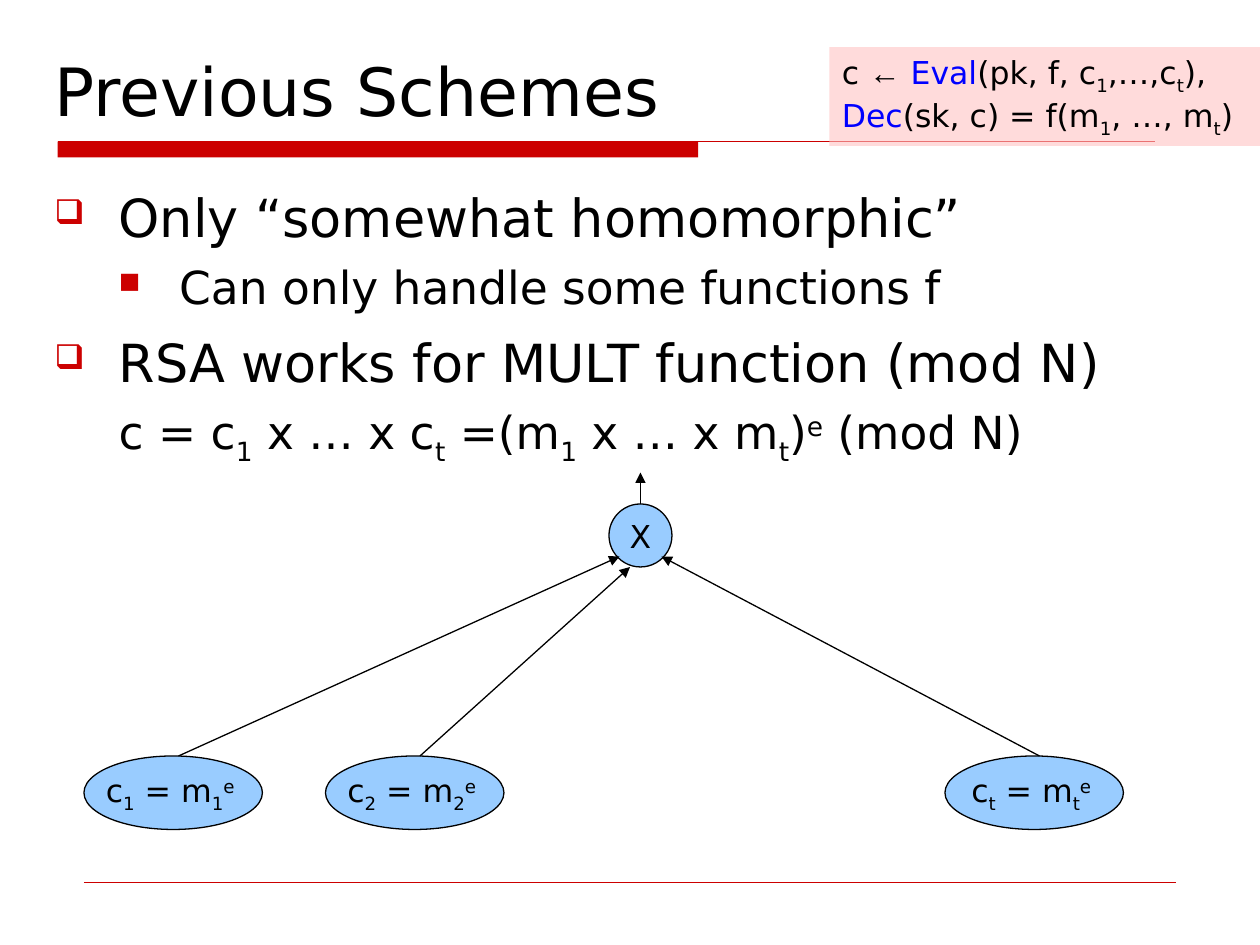
"""Build the slide on previous homomorphic schemes."""
import itertools

import lxml.etree
import pptx
import pptx.dml.color
import pptx.enum.shapes
import pptx.enum.text
import pptx.oxml.ns
import pptx.util

COLORS = {"text": "000000", "accent": "CC0000", "keyword": "0000FF",
          "node": "99CCFF", "note": "FFC2C2"}
FONT = "DejaVu Sans"
BASELINES = {"_": "-25000", "^": "30000"}
SHAPES = pptx.enum.shapes.MSO_SHAPE
ANCHORS = pptx.enum.text.MSO_ANCHOR
ALIGNS = pptx.enum.text.PP_ALIGN


def grid(*cells):
    """Turn counts of grid cells, twelve to the inch, into lengths."""
    return [pptx.util.Inches(cell / 12) for cell in cells]


def color(name):
    """Look up a named colour."""
    return pptx.dml.color.RGBColor.from_string(COLORS[name])


def add_xml(parent, tag, **attributes):
    """Append a DrawingML element with its attributes."""
    return lxml.etree.SubElement(parent, pptx.oxml.ns.qn(tag), attributes)


def styled_characters(text):
    """Yield characters with style; _ lowers and ^ raises the next, * toggles keywords."""
    mark, keyword = None, False
    for char in text:
        if char in BASELINES:
            mark = char
        elif char == "*":
            keyword = not keyword
        else:
            yield char, (mark, keyword, "Arial" if char == "←" else FONT)
            mark = None


def write(paragraph, text, size, align=ALIGNS.LEFT, before=0):
    """Write marked-up text into a paragraph."""
    paragraph.alignment = align
    paragraph.space_before = pptx.util.Pt(before)
    for style, group in itertools.groupby(styled_characters(text), lambda pair: pair[1]):
        mark, keyword, font_name = style
        run = paragraph.add_run()
        run.text = "".join(char for char, _ in group)
        run.font.size = pptx.util.Pt(size)
        run.font.name = font_name
        run.font.color.rgb = color("keyword" if keyword else "text")
        if mark:
            run.font._element.set("baseline", BASELINES[mark])


def add_filled(slide, preset, cells, fill, outlined=False):
    """Add a flat filled shape."""
    shape = slide.shapes.add_shape(preset, *grid(*cells))
    shape.shadow.inherit = False
    shape.fill.solid()
    shape.fill.fore_color.rgb = color(fill)
    if outlined:
        shape.line.color.rgb = color("text")
        shape.line.width = pptx.util.Pt(0.75)
    else:
        shape.line.fill.background()
    return shape


def add_line(slide, cells, line_color, width=0.75, arrow=False):
    """Add a straight line, with an arrowhead at its end if asked."""
    line = slide.shapes.add_connector(
        pptx.enum.shapes.MSO_CONNECTOR.STRAIGHT, *grid(*cells))
    line.line.color.rgb = color(line_color)
    line.line.width = pptx.util.Pt(width)
    if arrow:
        add_xml(line.line._get_or_add_ln(), "a:tailEnd", type="triangle")
    add_xml(line._element.spPr, "a:effectLst")
    return line


def add_node(slide, cells, text):
    """Add an ellipse of the circuit with its label."""
    node = add_filled(slide, SHAPES.OVAL, cells, "node", outlined=True)
    node.text_frame.word_wrap = False
    node.text_frame.vertical_anchor = ANCHORS.MIDDLE
    write(node.text_frame.paragraphs[0], text, 18, align=ALIGNS.CENTER)
    return node


def add_title(slide, text):
    """Place the title above its red rule."""
    add_filled(slide, SHAPES.RECTANGLE, (5.5, 13.5, 61, 1.5), "accent")
    add_line(slide, (5.5, 13.5, 110, 13.5), "accent")
    title = slide.shapes.title
    title.left, title.top, title.width, title.height = grid(4, 1, 112, 12)
    title.text_frame.auto_size = pptx.enum.text.MSO_AUTO_SIZE.NONE
    title.text_frame.vertical_anchor = ANCHORS.BOTTOM
    write(title.text_frame.paragraphs[0], text, 38)


def add_points(slide, points):
    """Add the outline from (level, bullet, text) entries."""
    levels = [(0.51, 0.51, 30, 9.4), (0.99, 0.48, 26, 6.5)]
    frame = slide.shapes.add_textbox(*grid(4, 17, 112, 66)).text_frame
    frame.word_wrap = True
    for index, (level, bullet, text) in enumerate(points):
        paragraph = frame.add_paragraph() if index else frame.paragraphs[0]
        margin, hanging, size, before = levels[level]
        paragraph.level = level
        properties = paragraph._p.get_or_add_pPr()
        properties.set("marL", str(pptx.util.Inches(margin)))
        properties.set("indent", str(-pptx.util.Inches(hanging)))
        if bullet:
            bullet_color = add_xml(properties, "a:buClr")
            add_xml(bullet_color, "a:srgbClr", val=COLORS["accent"])
            add_xml(properties, "a:buSzPct", val="65000")
            add_xml(properties, "a:buChar", char=bullet)
        else:
            add_xml(properties, "a:buNone")
        write(paragraph, text, size, before=before if index else 0)


def add_note(slide, text):
    """Add the translucent reminder in the top right corner."""
    note = add_filled(slide, SHAPES.RECTANGLE, (79, 4.5, 41, 9.4), "note")
    fill_color = note._element.spPr.find(".//" + pptx.oxml.ns.qn("a:srgbClr"))
    add_xml(fill_color, "a:alpha", val="59000")
    note.text_frame.word_wrap = True
    note.text_frame.vertical_anchor = ANCHORS.TOP
    write(note.text_frame.paragraphs[0], text, 18)


def add_circuit(slide):
    """Draw the ciphertexts flowing into the product and out of it."""
    inputs = [("1", 8, 17, (59, 53)), ("2", 31, 40, (60, 54)), ("t", 90, 99, (63, 53))]
    product = add_node(slide, (58, 48, 6, 6), "X")
    for index, left, start, end in inputs:
        add_node(slide, (left, 72, 17, 7), f"c_{index} = m_{index}^e^ ")
        add_line(slide, (start, 72, *end), "text", arrow=True)
    output = add_line(slide, (61, 48, 61, 45), "text", arrow=True)
    output.begin_connect(product, 0)


def main():
    """Build and save the slide."""
    deck = pptx.Presentation()
    deck.slide_width, deck.slide_height = grid(120, 90)
    slide = deck.slides.add_slide(deck.slide_layouts[5])
    add_title(slide, "Previous Schemes")
    add_line(slide, (8, 84, 112, 84), "accent", width=0.25)
    add_points(slide, [
        (0, "❑", "Only “somewhat homomorphic”"),
        (1, "■", "Can only handle some functions f"),
        (0, "❑", "RSA works for MULT function (mod N)"),
        (1, None, "c = c_1 x … x c_t =(m_1 x … x m_t)^e (mod N)"),
    ])
    add_note(slide, "c ← *Eval*(pk, f, c_1,…,c_t), *Dec*(sk, c) = f(m_1, …, m_t)")
    add_circuit(slide)
    deck.save("out.pptx")


if __name__ == "__main__":
    main()
